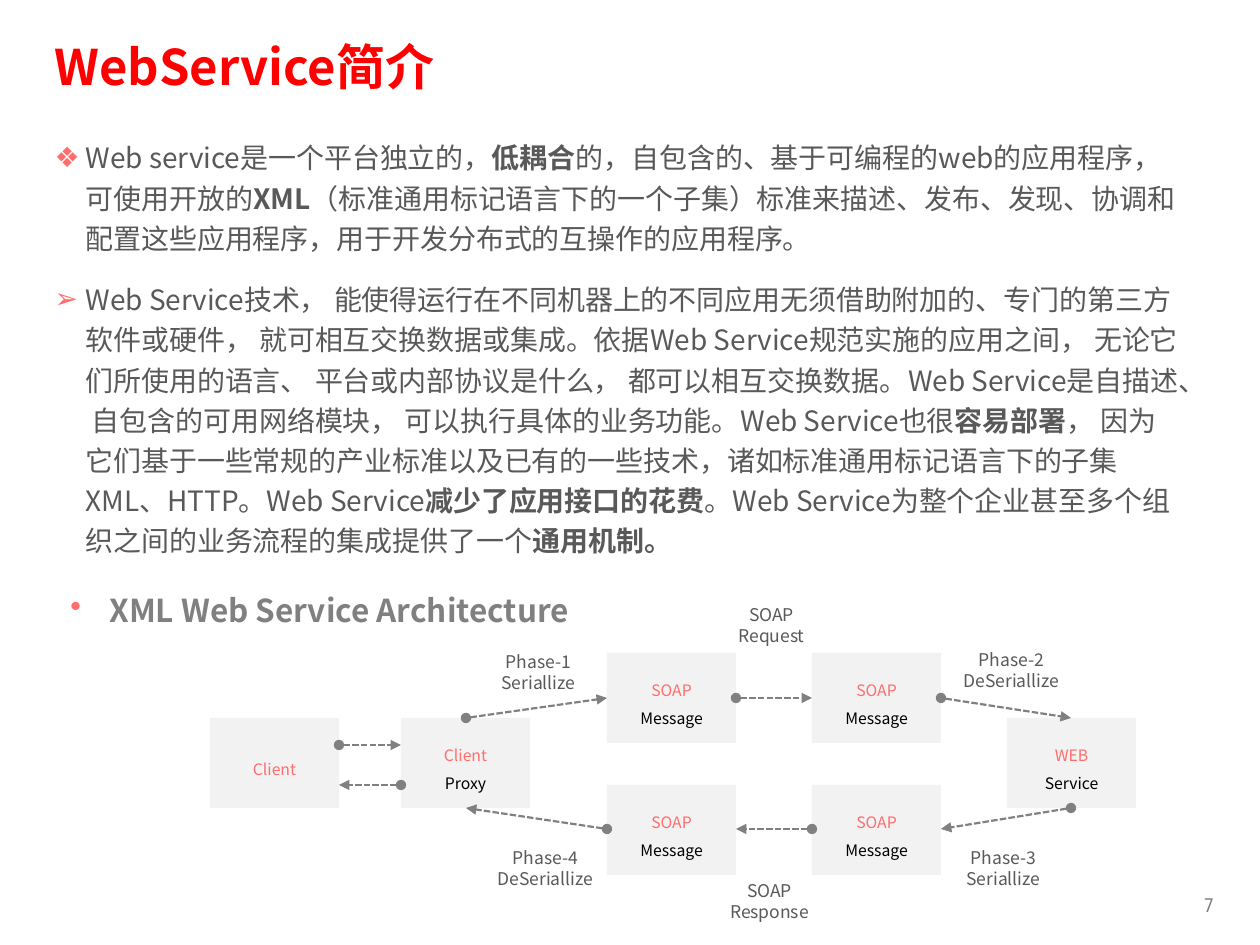
from lxml.etree import SubElement
from pptx import Presentation
from pptx.dml.color import RGBColor
from pptx.enum.dml import MSO_LINE
from pptx.enum.shapes import MSO_CONNECTOR, MSO_SHAPE
from pptx.enum.text import MSO_ANCHOR, MSO_AUTO_SIZE, PP_ALIGN
from pptx.oxml.ns import qn
from pptx.util import Pt

PX = 914400 / 126
FONT = "Noto Sans CJK SC"
RED = RGBColor(0xFF, 0x00, 0x00)
CORAL = RGBColor(0xFF, 0x6D, 0x6D)
DARK = RGBColor(0x59, 0x59, 0x59)
GRAY = RGBColor(0x80, 0x80, 0x80)
PALE = RGBColor(0xF2, 0xF2, 0xF2)
BLACK = RGBColor(0x00, 0x00, 0x00)

BOX_W, BOX_H = 129, 90
LABEL_H = 71

POINTS = [
    ("❖", [
        ("Web service是一个平台独立的，", False),
        ("低耦合", True),
        ("的，自包含的、基于可编程的web的应用程序，可使用开放的", False),
        ("XML", True),
        ("（标准通用标记语言下的一个子集）标准来描述、发布、发现、协调和配置这些应用程序，"
         "用于开发分布式的互操作的应用程序。", False),
    ]),
    ("➢", [
        ("Web Service技术， 能使得运行在不同机器上的不同应用无须借助附加的、专门的第三方软件或硬件， "
         "就可相互交换数据或集成。依据Web Service规范实施的应用之间， 无论它们所使用的语言、 "
         "平台或内部协议是什么， 都可以相互交换数据。Web Service是自描述、 自包含的可用网络模块， "
         "可以执行具体的业务功能。Web Service也很", False),
        ("容易部署", True),
        ("， 因为它们基于一些常规的产业标准以及已有的一些技术，"
         "诸如标准通用标记语言下的子集XML、HTTP。Web Service", False),
        ("减少了应用接口的花费", True),
        ("。Web Service为整个企业甚至多个组织之间的业务流程的集成提供了一个", False),
        ("通用机制。", True),
    ]),
]

NODES = [
    (210, 718, 69, ["Client"]),
    (401, 718, 69, ["Client", "Proxy"]),
    (1007, 718, 79, ["WEB", "Service"]),
] + [(x, y, 92, ["SOAP", "Message"]) for y in (653, 785) for x in (607, 812)]

ARROWS = [
    (339, 745, 401, 745),
    (401, 785, 339, 785),
    (466, 718, 607, 698),
    (736, 698, 812, 698),
    (941, 698, 1071, 718),
    (1071, 808, 941, 829),
    (812, 829, 736, 829),
    (607, 829, 466, 808),
]

NOTES = [
    (709, 598, ["SOAP", "Request"]),
    (476, 645, ["Phase-1", "Seriallize"]),
    (949, 643, ["Phase-2", "DeSeriallize"]),
    (941, 841, ["Phase-3", "Seriallize"]),
    (707, 874, ["SOAP", "Response"]),
    (483, 841, ["Phase-4", "DeSeriallize"]),
]


def px(n):
    return round(n * PX)


def place(shape, x, y, w, h):
    shape.left, shape.top, shape.width, shape.height = map(px, (x, y, w, h))


def style(run, size, color, bold=False, face=FONT):
    font = run.font
    font.size, font.bold, font.name = Pt(size), bold, face
    font.color.rgb = color
    SubElement(run._r.get_or_add_rPr(), qn("a:ea"), typeface=face)


def space(para, pitch, after=0):
    para.line_spacing = Pt(pitch)
    para.space_before = Pt(0)
    para.space_after = Pt(after)


def bullet(para, mark, indent):
    props = para._p.get_or_add_pPr()
    props.set("marL", str(px(indent)))
    props.set("indent", str(-px(indent)))
    tint = SubElement(props, qn("a:buClr"))
    SubElement(tint, qn("a:srgbClr"), val=str(CORAL))
    SubElement(props, qn("a:buChar"), char=mark)


def add_text(shapes, spot, lines, size, colors, pitch,
             align=PP_ALIGN.CENTER, wrap=True, bold=False, face=FONT):
    box = shapes.add_textbox(*map(px, spot))
    frame = box.text_frame
    frame.word_wrap = wrap
    frame.text = "\n".join(lines)
    for para, color in zip(frame.paragraphs, colors):
        para.alignment = align
        space(para, pitch)
        style(para.runs[0], size, color, bold, face)
    return frame


def add_title(slide):
    title = slide.shapes.title
    place(title, 42, 26, 1018, 105)
    frame = title.text_frame
    frame.text = "WebService简介"
    frame.auto_size = MSO_AUTO_SIZE.NONE
    frame.vertical_anchor = MSO_ANCHOR.TOP
    para = frame.paragraphs[0]
    para.alignment = PP_ALIGN.LEFT
    space(para, 36)
    style(para.runs[0], 28, RED, True)


def add_body(slide):
    body = slide.placeholders[1]
    place(body, 42, 128, 1154, 441)
    frame = body.text_frame
    frame.auto_size = MSO_AUTO_SIZE.NONE
    for i, (mark, parts) in enumerate(POINTS):
        para = frame.add_paragraph() if i else frame.paragraphs[0]
        space(para, 23, 12)
        bullet(para, mark, 31)
        for text, bold in parts:
            run = para.add_run()
            run.text = text
            style(run, 16, DARK, bold)


def add_node(shapes, x, y, width, lines):
    box = shapes.add_shape(MSO_SHAPE.RECTANGLE, *map(px, (x, y, BOX_W, BOX_H)))
    box.shadow.inherit = False
    box.fill.solid()
    box.fill.fore_color.rgb = PALE
    box.line.fill.background()
    drop, high = (12, LABEL_H) if len(lines) > 1 else (26, 38)
    spot = (x + (BOX_W - width) / 2, y + drop, width, high)
    add_text(shapes, spot, lines, 9, (CORAL, BLACK), 16.2, wrap=False)


def add_arrow(shapes, *ends):
    arrow = shapes.add_connector(MSO_CONNECTOR.STRAIGHT, *map(px, ends))
    line = arrow.line
    line.color.rgb = GRAY
    line.width = Pt(1.25)
    line.dash_style = MSO_LINE.SQUARE_DOT
    props = line._get_or_add_ln()
    SubElement(props, qn("a:headEnd"), type="oval")
    SubElement(props, qn("a:tailEnd"), type="triangle")
    SubElement(arrow._element.spPr, qn("a:effectLst"))


def add_flow(slide):
    shapes = slide.shapes.add_group_shape().shapes
    for node in NODES:
        add_node(shapes, *node)
    for ends in ARROWS:
        add_arrow(shapes, *ends)
    for x, y, lines in NOTES:
        add_text(shapes, (x, y, 125, 55), lines, 10, (DARK, DARK), 12)


def main():
    deck = Presentation()
    deck.slide_width, deck.slide_height = px(1260), px(945)
    slide = deck.slides.add_slide(deck.slide_layouts[1])
    add_title(slide)
    add_body(slide)
    add_flow(slide)
    head = add_text(slide.shapes, (58, 585, 582, 50),
                    ["XML Web Service Architecture"], 18, [GRAY], 21.6,
                    align=PP_ALIGN.LEFT, bold=True)
    bullet(head.paragraphs[0], "•", 39)
    add_text(slide.shapes, (1137, 887, 89, 37), ["7"], 11, [GRAY], 13.2,
             align=PP_ALIGN.RIGHT, face="Roboto Condensed")
    deck.save("out.pptx")


if __name__ == "__main__":
    main()
